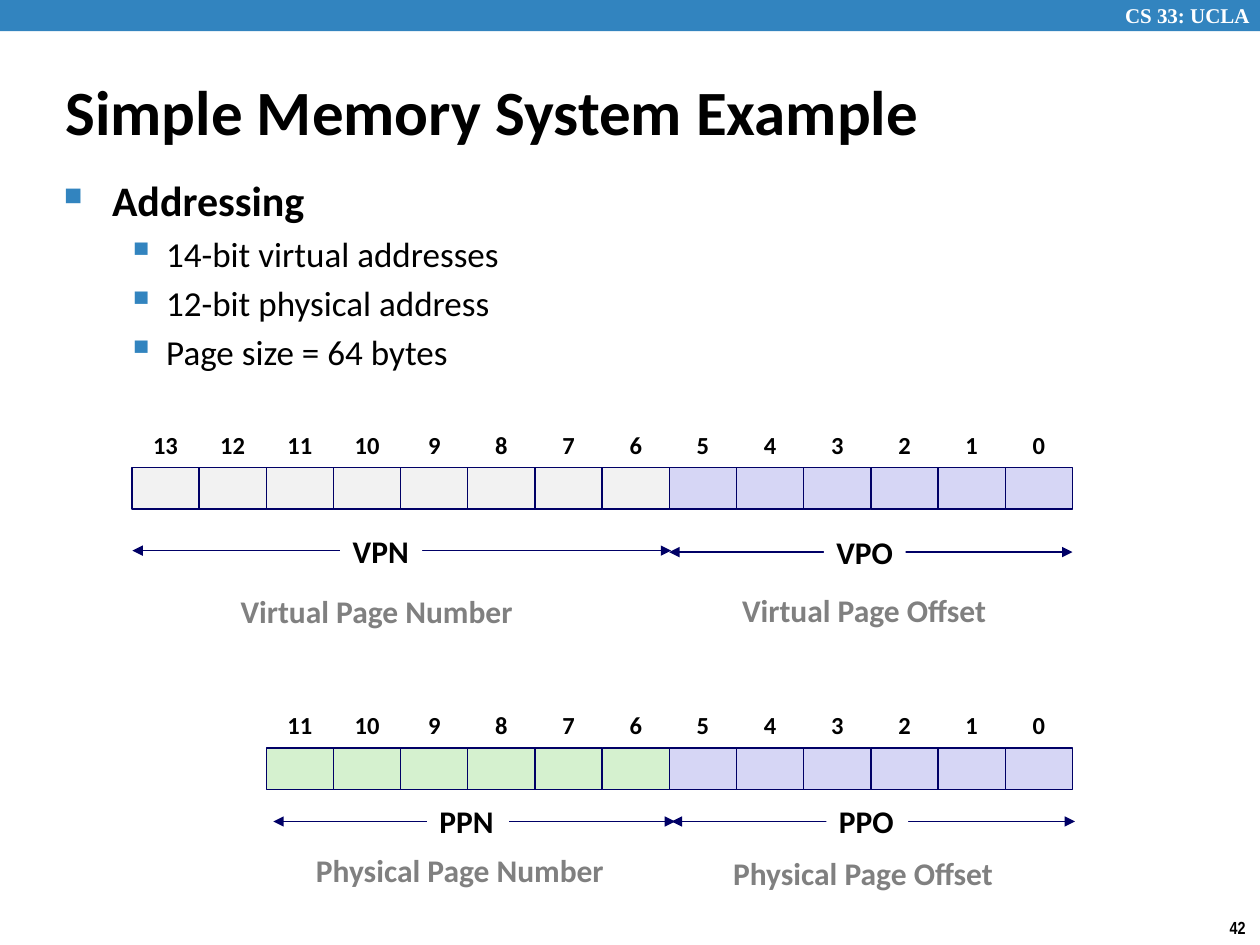
from dataclasses import dataclass

from lxml import etree
from pptx import Presentation
from pptx import util as u
from pptx.dml.color import RGBColor
from pptx.enum import shapes, text
from pptx.oxml.ns import qn


@dataclass(frozen=True)
class Theme:
    accent: str = "3284BF"
    ink: str = "000000"
    paper: str = "FFFFFF"
    muted: str = "808080"
    outline: str = "000066"
    virtual: str = "F2F2F2"
    physical: str = "D5F1CF"
    offset: str = "D6D6F5"
    font: str = "Calibri"
    title: int = 36
    heading: int = 24
    item: int = 20
    label: int = 18
    bit: int = 14
    course: int = 12
    number: int = 10


theme = Theme()
LEFT, CENTER = text.PP_ALIGN.LEFT, text.PP_ALIGN.CENTER


def add_box(left, top, width, height, fill=None, line=None):
    """Add a text box, or a rectangle when a fill is given; lengths in cm."""
    frame = [u.Cm(length) for length in (left, top, width, height)]
    if fill is None:
        return page.shapes.add_textbox(*frame)
    box = page.shapes.add_shape(shapes.MSO_SHAPE.RECTANGLE, *frame)
    box.shadow.inherit = False
    box.fill.solid()
    box.fill.fore_color.rgb = RGBColor.from_string(fill)
    if line:
        box.line.color.rgb = RGBColor.from_string(line)
        box.line.width = u.Pt(0.75)
    else:
        box.line.fill.background()
    return box


def write(para, words, size, color=theme.ink, bold=True, font=theme.font,
          align=LEFT, spacing=None):
    para.alignment = align
    para.line_spacing = spacing
    span = para.add_run()
    span.text = words
    span.font.size = u.Pt(size)
    span.font.name = font
    span.font.bold = bold
    span.font.color.rgb = RGBColor.from_string(color)


deck = Presentation()
deck.slide_width, deck.slide_height = u.Cm(25.4), u.Cm(19.05)
page = deck.slides.add_slide(deck.slide_layouts[6])

# Header band, course name and page number
add_box(0, 0, 25.4, 0.63, theme.accent)
course = add_box(22.43, -0.08, 3.15, 0.76)
course.text_frame.word_wrap = True
write(course.text_frame.paragraphs[0], "CS 33: UCLA", theme.course, theme.paper,
      font="Times New Roman")
number = add_box(24.54, 18.36, 0.86, 0.69)
number.text_frame.word_wrap = False
write(number.text_frame.paragraphs[0], "42", theme.number, font="Arial Narrow")

# Title
title = add_box(1.07, 1.42, 20.29, 1.6)
title.text_frame.word_wrap = True
title.text_frame.vertical_anchor = text.MSO_ANCHOR.MIDDLE
write(title.text_frame.paragraphs[0], "Simple Memory System Example", theme.title)

# Bulleted list
body = add_box(1.04, 3.4, 23.09, 4.39)
body.text_frame.word_wrap = True
items = ["Addressing", "14-bit virtual addresses", "12-bit physical address",
         "Page size = 64 bytes"]
for index, words in enumerate(items):
    heading = index == 0
    para = body.text_frame.paragraphs[0] if heading else body.text_frame.add_paragraph()
    if not heading:
        para.level = 1
        para.space_before = u.Pt(4)
    margin, hang, mark, scale = (0.97, 0.97, "■", 60) if heading else (2.06, 0.79, "▪", 110)
    props = para._p.get_or_add_pPr()
    props.set("marL", str(u.Cm(margin)))
    props.set("indent", str(-u.Cm(hang)))
    bullet_color = etree.SubElement(props, qn("a:buClr"))
    etree.SubElement(bullet_color, qn("a:srgbClr"), val=theme.accent)
    etree.SubElement(props, qn("a:buSzPct"), val=str(scale * 1000))
    etree.SubElement(props, qn("a:buChar"), char=mark)
    write(para, words, theme.heading if heading else theme.item, bold=heading)

# Address bits, counted down to bit 0 at the right edge
RIGHT_EDGE, BIT_WIDTH, BIT_HEIGHT, OFFSET_BITS = 21.62, 18.96 / 14, 0.84, 6
for bits, top, page_fill in [(14, 9.42, theme.virtual), (12, 15.08, theme.physical)]:
    for bit in reversed(range(bits)):
        left = RIGHT_EDGE - (bit + 1) * BIT_WIDTH
        fill = theme.offset if bit < OFFSET_BITS else page_fill
        add_box(left, top, BIT_WIDTH, BIT_HEIGHT, fill, theme.outline)
        label = add_box(left, top - BIT_HEIGHT, BIT_WIDTH, BIT_HEIGHT)
        label.text_frame.word_wrap = False
        label.text_frame.vertical_anchor = text.MSO_ANCHOR.MIDDLE
        write(label.text_frame.paragraphs[0], str(bit), theme.bit, align=CENTER, spacing=0.88)

# Field spans: name, arrow start, arrow end, arrow height, name left
fields = [("VPO", 13.49, 21.62, 11.13, 16.61),
          ("PPO", 13.54, 21.67, 16.56, 16.66),
          ("PPN", 5.51, 13.61, 16.56, 8.61),
          ("VPN", 2.67, 13.53, 11.1, 6.86)]
for name, start, end, height, left in fields:
    arrow = page.shapes.add_connector(shapes.MSO_CONNECTOR.STRAIGHT, u.Cm(start),
                                      u.Cm(height), u.Cm(end), u.Cm(height))
    arrow.line.color.rgb = RGBColor.from_string(theme.outline)
    arrow.line.width = u.Pt(0.75)
    for tip in ("a:headEnd", "a:tailEnd"):
        etree.SubElement(arrow.line._get_or_add_ln(), qn(tip), type="triangle")
    etree.SubElement(arrow._element.spPr, qn("a:effectLst"))
    tag = add_box(left, height - 0.41, 1.65, 0.91, theme.paper)
    tag.text_frame.word_wrap = False
    tag.text_frame.vertical_anchor = text.MSO_ANCHOR.TOP
    write(tag.text_frame.paragraphs[0], name, theme.label, spacing=0.88)

# Full names of the fields
captions = [("Virtual Page Number", 4.6, 11.91, 6.05),
            ("Virtual Page Offset", 14.71, 11.89, 5.49),
            ("Physical Page Number", 6.12, 17.12, 6.35),
            ("Physical Page Offset", 14.53, 17.2, 5.82)]
for words, left, top, width in captions:
    caption = add_box(left, top, width, 0.91)
    caption.text_frame.word_wrap = False
    write(caption.text_frame.paragraphs[0], words, theme.label, theme.muted, spacing=0.88)

deck.save("out.pptx")
